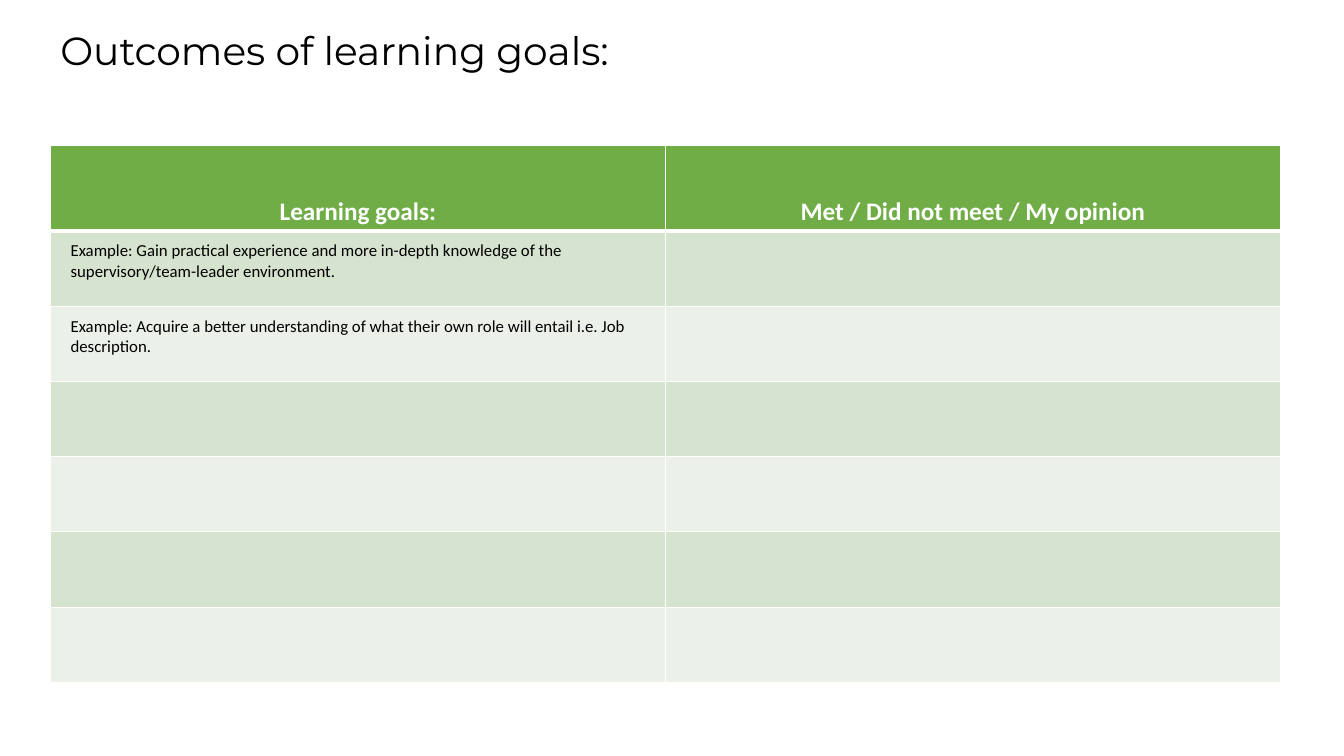
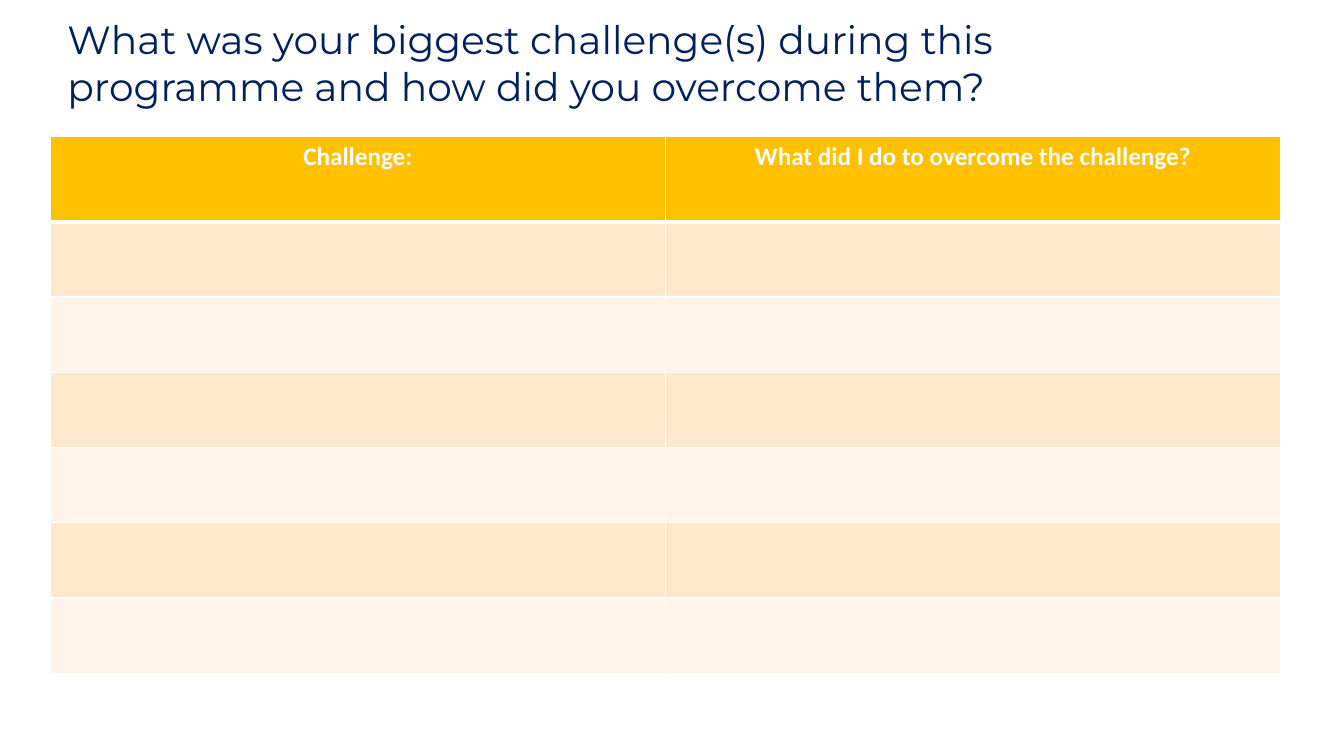
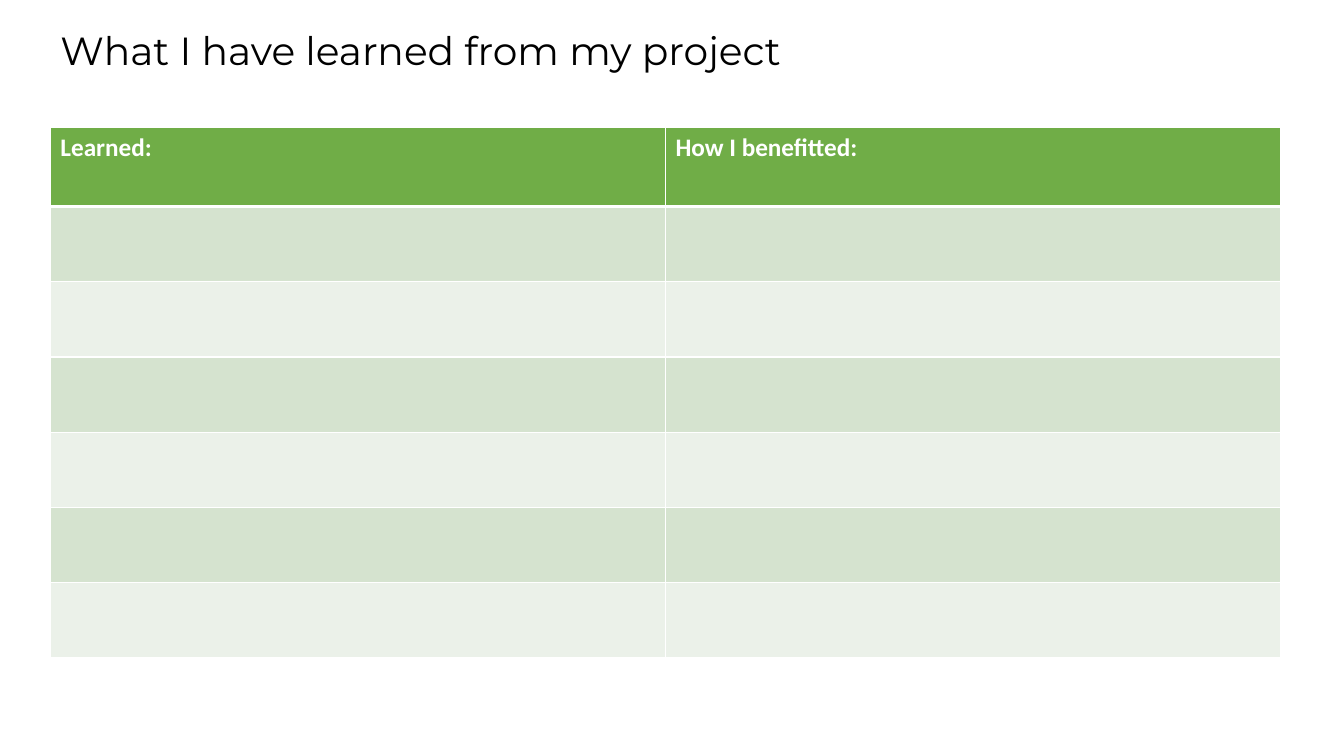
from lxml import etree
from pptx import Presentation
from pptx import util as u
from pptx.dml.color import RGBColor
from pptx.enum import text
from pptx.oxml.ns import qn

BLACK = RGBColor(0x00, 0x00, 0x00)
WHITE = RGBColor(0xFF, 0xFF, 0xFF)
NAVY = RGBColor(0x00, 0x20, 0x60)
GREEN = RGBColor(0x70, 0xAD, 0x47)
GREEN_MID = RGBColor(0xD5, 0xE3, 0xCF)
GREEN_PALE = RGBColor(0xEB, 0xF1, 0xE9)
AMBER = RGBColor(0xFF, 0xC0, 0x00)
AMBER_MID = RGBColor(0xFF, 0xE8, 0xCC)
AMBER_PALE = RGBColor(0xFF, 0xF4, 0xE7)

GREENS = (GREEN, GREEN_MID, GREEN_PALE)
AMBERS = (AMBER, AMBER_MID, AMBER_PALE)
CENTER = text.PP_ALIGN.CENTER
LEFT = text.PP_ALIGN.LEFT


class Deck:
    title_font = "Montserrat"
    table_font = "Calibri"
    margin = 0.5
    table_width = 12.2
    body_rows = 6
    body_height = 4.48

    def __init__(self):
        self.prs = Presentation()
        self.prs.slide_width = u.Inches(13.33)
        self.prs.slide_height = u.Inches(7.5)
        self.s = None

    def slide(self):
        self.s = self.prs.slides.add_slide(self.prs.slide_layouts[6])

    def run(self, p, words, font, size, color, bold=False):
        r = p.add_run()
        r.text = words
        r.font.name = font
        r.font.size = u.Pt(size)
        r.font.bold = bold
        r.font.color.rgb = color

    def title(self, words, left=0.5, top=0.21, height=0.57, color=BLACK):
        sp = self.s.shapes.add_textbox(u.Inches(left), u.Inches(top),
                                       u.Inches(11.32), u.Inches(height))
        tf = sp.text_frame
        tf.word_wrap = True
        self.run(tf.paragraphs[0], words, self.title_font, 28, color)

    def borders(self, cell, top, bottom):
        tc_pr = cell._tc.get_or_add_tcPr()
        for side, width in (("L", 1), ("R", 1), ("T", top), ("B", bottom)):
            ln = etree.SubElement(tc_pr, qn("a:ln" + side), w=str(u.Pt(width)))
            fill = etree.SubElement(ln, qn("a:solidFill"))
            etree.SubElement(fill, qn("a:srgbClr"), val=str(WHITE))

    def table(self, top, headings, colors, head_height=0.85, align=CENTER,
              spacing=None, examples=()):
        rows, cols = self.body_rows + 1, len(headings)
        frame = self.s.shapes.add_table(
            rows, cols, u.Inches(self.margin), u.Inches(top),
            u.Inches(self.table_width), u.Inches(head_height + self.body_height))
        tbl = frame.table
        for col in tbl.columns:
            col.width = u.Inches(self.table_width / cols)
        for i, row in enumerate(tbl.rows):
            row.height = u.Inches(self.body_height / self.body_rows if i else head_height)
            for cell in row.cells:
                self.borders(cell, 3 if i == 1 else 1, 1 if i else 3)
                cell.fill.solid()
                cell.fill.fore_color.rgb = colors[2 - i % 2] if i else colors[0]
        for j, words in enumerate(headings):
            p = tbl.cell(0, j).text_frame.paragraphs[0]
            p.alignment = align
            p.line_spacing = spacing
            self.run(p, words, self.table_font, 18, WHITE, True)
        for i, words in enumerate(examples, 1):
            cell = tbl.cell(i, 0)
            cell.margin_left = cell.margin_right = u.Inches(0.2)
            cell.margin_top = cell.margin_bottom = u.Inches(0.1)
            self.run(cell.text_frame.paragraphs[0], words, self.table_font, 12, BLACK)


def main():
    deck = Deck()

    deck.slide()
    deck.title("Outcomes of learning goals:")
    deck.table(1.44, ("Learning goals:", "Met / Did not meet / My opinion"), GREENS,
               spacing=2.5, examples=(
                   "Example: Gain practical experience and more in-depth knowledge "
                   "of the supervisory/team-leader environment.",
                   "Example: Acquire a better understanding of what their own role "
                   "will entail i.e. Job description."))

    deck.slide()
    deck.title("What was your biggest challenge(s) during this programme "
               "and how did you overcome them?", 0.57, 0.1, 1.04, NAVY)
    deck.table(1.35, ("Challenge:", "What did I do to overcome the challenge?"), AMBERS)

    deck.slide()
    deck.title("What I have learned from my project")
    deck.table(1.26, ("Learned:", "How I benefitted:"), GREENS,
               head_height=0.79, align=LEFT)

    deck.prs.save("out.pptx")


if __name__ == "__main__":
    main()
